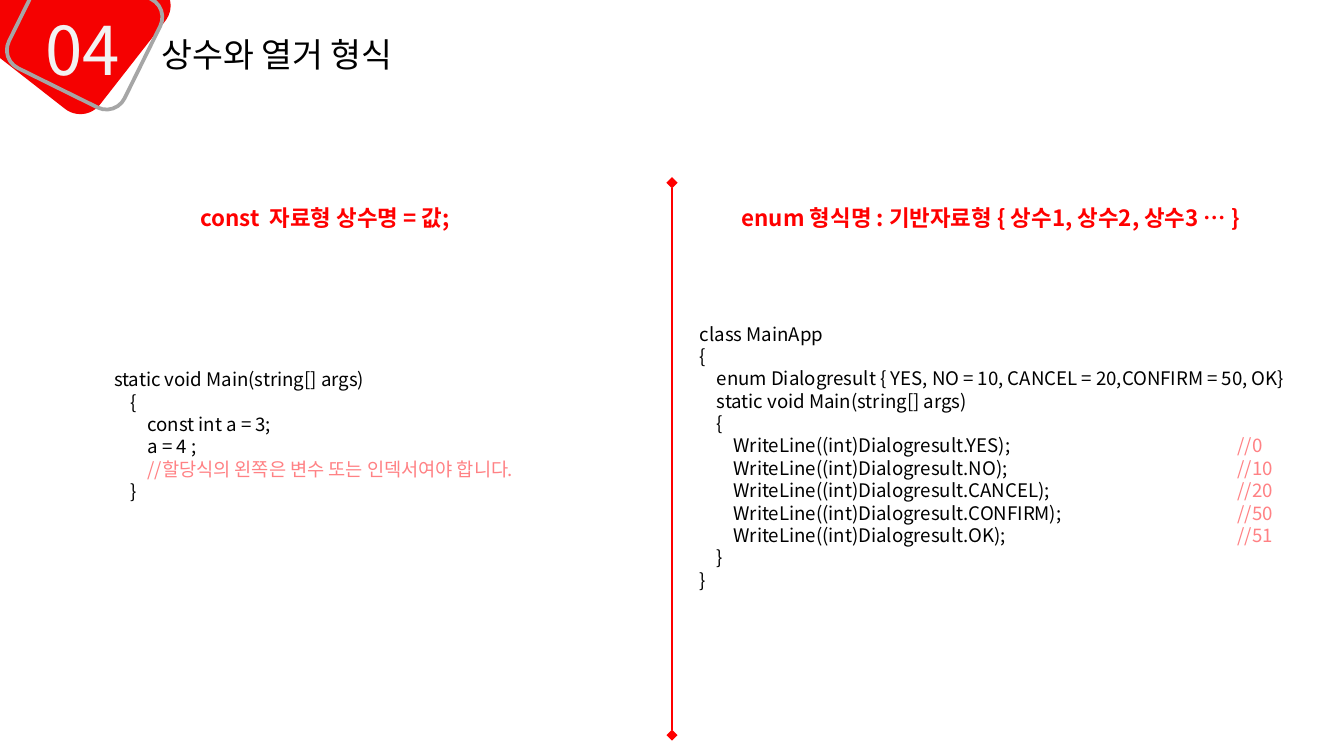
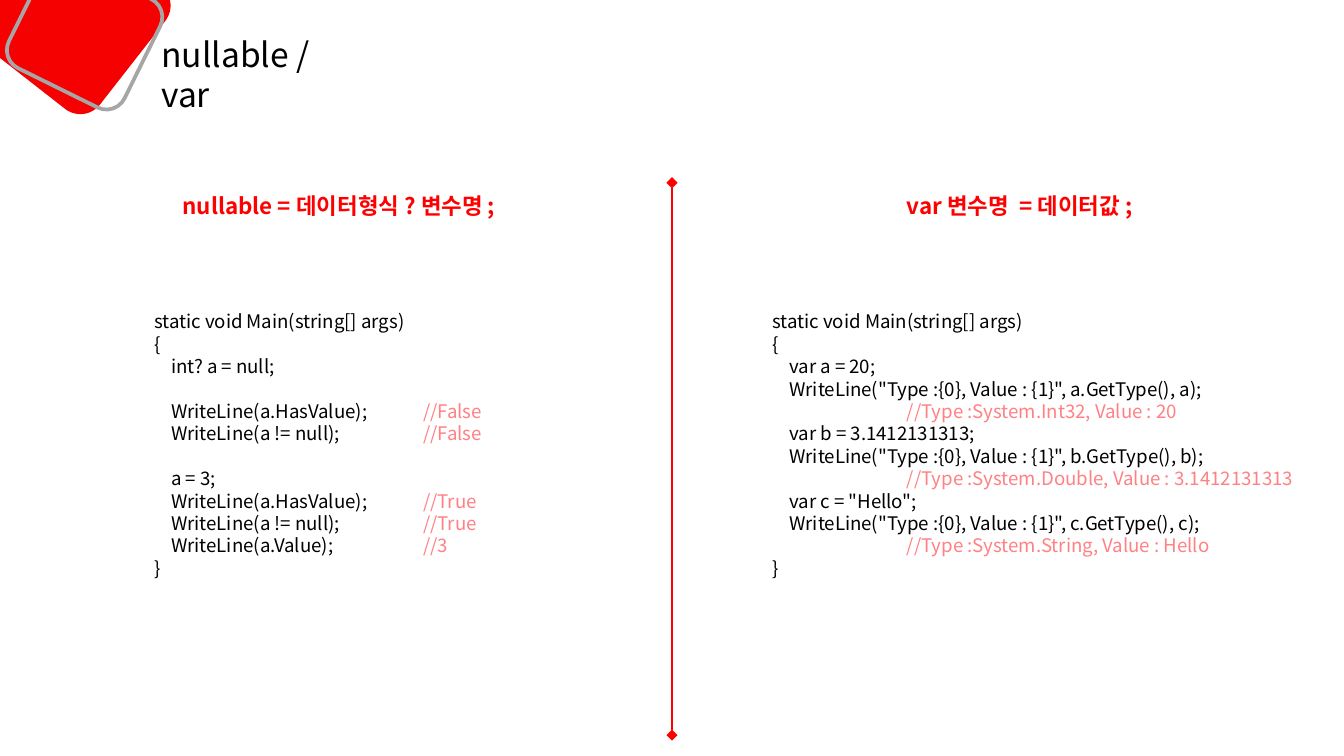
from pptx import Presentation
from pptx import util as u
from pptx.dml.color import RGBColor
from pptx.enum import shapes, text
from pptx.oxml import ns, xmlchemy

FONT = "Noto Sans CJK KR"
BADGE_RED = RGBColor(0xF5, 0x01, 0x01)
RED = RGBColor(0xFF, 0x00, 0x00)
PINK = RGBColor(0xFF, 0x81, 0x84)
GRAY = RGBColor(0xA6, 0xA6, 0xA6)
PALE = RGBColor(0xF2, 0xF2, 0xF2)
BLACK = RGBColor(0x00, 0x00, 0x00)

NUMBER = {"size": u.Pt(36), "color": PALE}
TITLE = {"size": u.Pt(18), "color": BLACK}
HEADING = {"size": u.Pt(12), "color": RED, "bold": True}
CODE = {"size": u.Pt(10), "color": BLACK}
COMMENT = {"size": u.Pt(10), "color": PINK}
LINE_HEIGHT = 1.2
INDENT_STEP = u.Inches(0.25) // 8
TAB_SIZE = u.Inches(1)
SLIDE_WIDTH = u.Inches(10)
SLIDE_HEIGHT = SLIDE_WIDTH * 9 // 16

CONST_CODE = """\
static void Main(string[] args)
    {
        const int a = 3;
        a = 4 ;
        //할당식의 왼쪽은 변수 또는 인덱서여야 합니다.
    }"""

ENUM_CODE = """\
class MainApp
{
    enum Dialogresult { YES, NO = 10, CANCEL = 20,CONFIRM = 50, OK}
    static void Main(string[] args)
    {
        WriteLine((int)Dialogresult.YES);//0
        WriteLine((int)Dialogresult.NO);//10
        WriteLine((int)Dialogresult.CANCEL);//20
        WriteLine((int)Dialogresult.CONFIRM);//50
        WriteLine((int)Dialogresult.OK);//51
    }
}"""

NULLABLE_CODE = """\
static void Main(string[] args)
{
    int? a = null;

    WriteLine(a.HasValue);//False
    WriteLine(a != null);//False

    a = 3;
    WriteLine(a.HasValue);//True
    WriteLine(a != null);//True
    WriteLine(a.Value);//3
}"""

VAR_CODE = """\
static void Main(string[] args)
{
    var a = 20;
    WriteLine("Type :{0}, Value : {1}", a.GetType(), a);
                                //Type :System.Int32, Value : 20
    var b = 3.1412131313;
    WriteLine("Type :{0}, Value : {1}", b.GetType(), b);
                                //Type :System.Double, Value : 3.1412131313
    var c = "Hello";
    WriteLine("Type :{0}, Value : {1}", c.GetType(), c);
                                //Type :System.String, Value : Hello
}"""

TOPICS = [
    {
        "number": "04",
        "title": "상수와 열거 형식",
        "title_width": 2.15,
        "headings": [
            ("const  자료형 상수명 = 값;", (1.39, 1.47, 2.3, 0.3)),
            ("enum 형식명 : 기반자료형 { 상수1, 상수2, 상수3 … }", (5.42, 1.47, 4.3, 0.3)),
        ],
        "listings": [
            (ENUM_CODE, (5.11, 2.35, 4.85, 2.12), 2),
            (CONST_CODE, (0.75, 2.69, 3.95, 1.11), 1),
        ],
    },
    {
        "number": None,
        "title": "nullable / var",
        "title_width": 1.71,
        "headings": [
            ("nullable = 데이터형식 ? 변수명 ;", (1.26, 1.38, 2.74, 0.3)),
            ("var 변수명  = 데이터값 ;", (6.65, 1.38, 2.1, 0.3)),
        ],
        "listings": [
            (VAR_CODE, (5.65, 2.26, 4.15, 2.12), 1),
            (NULLABLE_CODE, (1.05, 2.26, 2.65, 2.12), 1),
        ],
    },
]


def inches(box):
    """Convert a box of numbers to lengths."""
    return [u.Inches(value) for value in box]


def add_child(parent, tag, **attributes):
    """Append a DrawingML element with the given attributes."""
    child = xmlchemy.OxmlElement(tag)
    for key, value in attributes.items():
        child.set(key, value)
    parent.append(child)


def add_words(paragraph, words, style):
    """Append a run in the given style and fix the line height."""
    run = paragraph.add_run()
    run.text = words
    for key, value in {"name": FONT, **style}.items():
        if key == "color":
            run.font.color.rgb = value
        else:
            setattr(run.font, key, value)
    add_child(run.font._element, "a:ea", typeface=FONT)
    paragraph.line_spacing = u.Pt(style["size"].pt * LINE_HEIGHT)


def prepare_frame(frame):
    """Give a text frame the shared margins and wrapping."""
    layout = {
        "word_wrap": True,
        "auto_size": text.MSO_AUTO_SIZE.NONE,
        "vertical_anchor": text.MSO_ANCHOR.TOP,
        "margin_left": u.Inches(0.1),
        "margin_right": u.Inches(0.1),
        "margin_top": u.Inches(0.05),
        "margin_bottom": u.Inches(0.05),
    }
    for key, value in layout.items():
        setattr(frame, key, value)
    return frame


def add_label(slide, words, box, style):
    """Place one line of styled text in a box."""
    frame = prepare_frame(slide.shapes.add_textbox(*inches(box)).text_frame)
    add_words(frame.paragraphs[0], words, style)


def add_card(slide, box, rotation):
    """Place a rotated rounded card without shadow."""
    card = slide.shapes.add_shape(shapes.MSO_SHAPE.ROUNDED_RECTANGLE, *inches(box))
    card.rotation = rotation
    card.shadow.inherit = False
    return card


def add_badge(slide, number):
    """Draw the corner badge and its chapter number."""
    base = add_card(slide, (-0.03, -0.43, 1.16, 1.11), 308)
    base.fill.solid()
    base.fill.fore_color.rgb = BADGE_RED
    base.line.fill.background()
    outline = add_card(slide, (0.18, -0.23, 0.9, 0.96), 296.3)
    outline.fill.background()
    outline.line.color.rgb = GRAY
    outline.line.width = u.Pt(2)
    if number:
        add_label(slide, number, (0.24, 0.01, 0.87, 0.71), NUMBER)


def set_title(slide, words, box):
    """Move and format the title placeholder."""
    title = slide.shapes.title
    for key, value in zip(("left", "top", "width", "height"), inches(box)):
        setattr(title, key, value)
    paragraph = prepare_frame(title.text_frame).paragraphs[0]
    paragraph.alignment = text.PP_ALIGN.LEFT
    add_words(paragraph, words, TITLE)


def add_listing(slide, source, box, tab_count):
    """Write a code listing with its comments aligned by tabs."""
    frame = prepare_frame(slide.shapes.add_textbox(*inches(box)).text_frame)
    paragraph, gap = frame.paragraphs[0], 0
    for number, line in enumerate(source.splitlines()):
        if not line:
            gap += CODE["size"].pt * LINE_HEIGHT
            continue
        if number:
            paragraph = frame.add_paragraph()
        paragraph.space_before, gap = u.Pt(gap), 0
        code, mark, remark = line.partition("//")
        statement = code.strip()
        if statement:
            add_words(paragraph, statement + "\t" * tab_count * bool(mark), CODE)
        if mark:
            add_words(paragraph, mark + remark, COMMENT)
        indent = (len(line) - len(line.lstrip())) * INDENT_STEP
        properties = paragraph._p.get_or_add_pPr()
        for key, value in {"marL": 0, "indent": indent, "defTabSz": TAB_SIZE}.items():
            properties.set(key, str(int(value)))


def add_divider(slide, x, top, bottom):
    """Draw the vertical divider with diamond ends."""
    divider = slide.shapes.add_connector(
        shapes.MSO_CONNECTOR.STRAIGHT, *inches((x, top, x, bottom)))
    divider.line.color.rgb = RED
    divider.line.width = u.Pt(0.75)
    for end in ("a:headEnd", "a:tailEnd"):
        add_child(divider.line._get_or_add_ln(), end, type="diamond")
    add_child(divider._element.find(ns.qn("p:spPr")), "a:effectLst")


def add_topic(deck, topic):
    """Build one two-column topic slide."""
    slide = deck.slides.add_slide(deck.slide_layouts[5])
    add_badge(slide, topic["number"])
    set_title(slide, topic["title"], (1.1, 0.2, topic["title_width"], 0.4))
    for words, box in topic["headings"]:
        add_label(slide, words, box, HEADING)
    for source, box, tab_count in topic["listings"]:
        add_listing(slide, source, box, tab_count)
    add_divider(slide, 5, 1.36, 5.47)


def main():
    """Build and save the deck."""
    deck = Presentation()
    deck.slide_width, deck.slide_height = SLIDE_WIDTH, SLIDE_HEIGHT
    for topic in TOPICS:
        add_topic(deck, topic)
    deck.save("out.pptx")


if __name__ == "__main__":
    main()
